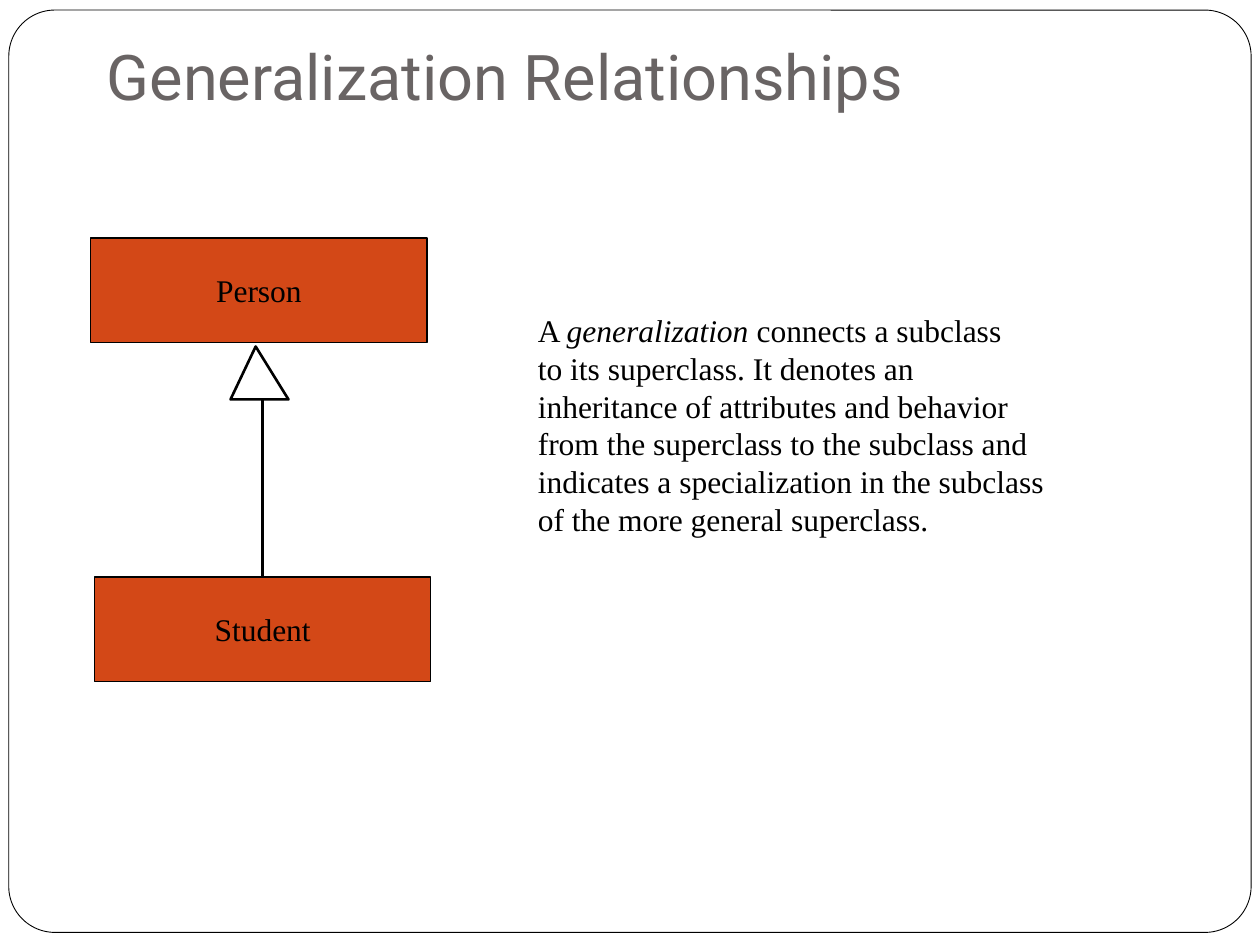
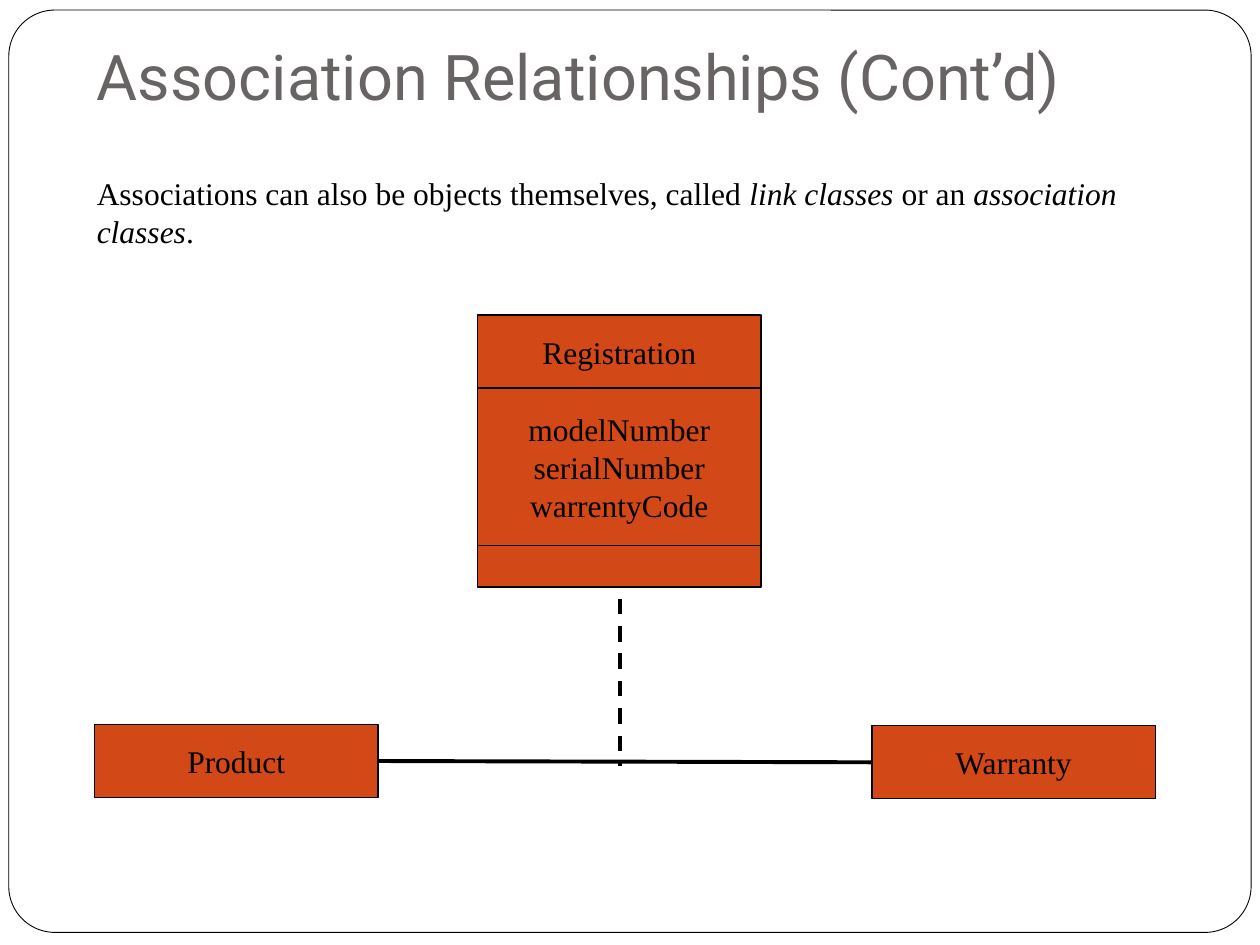
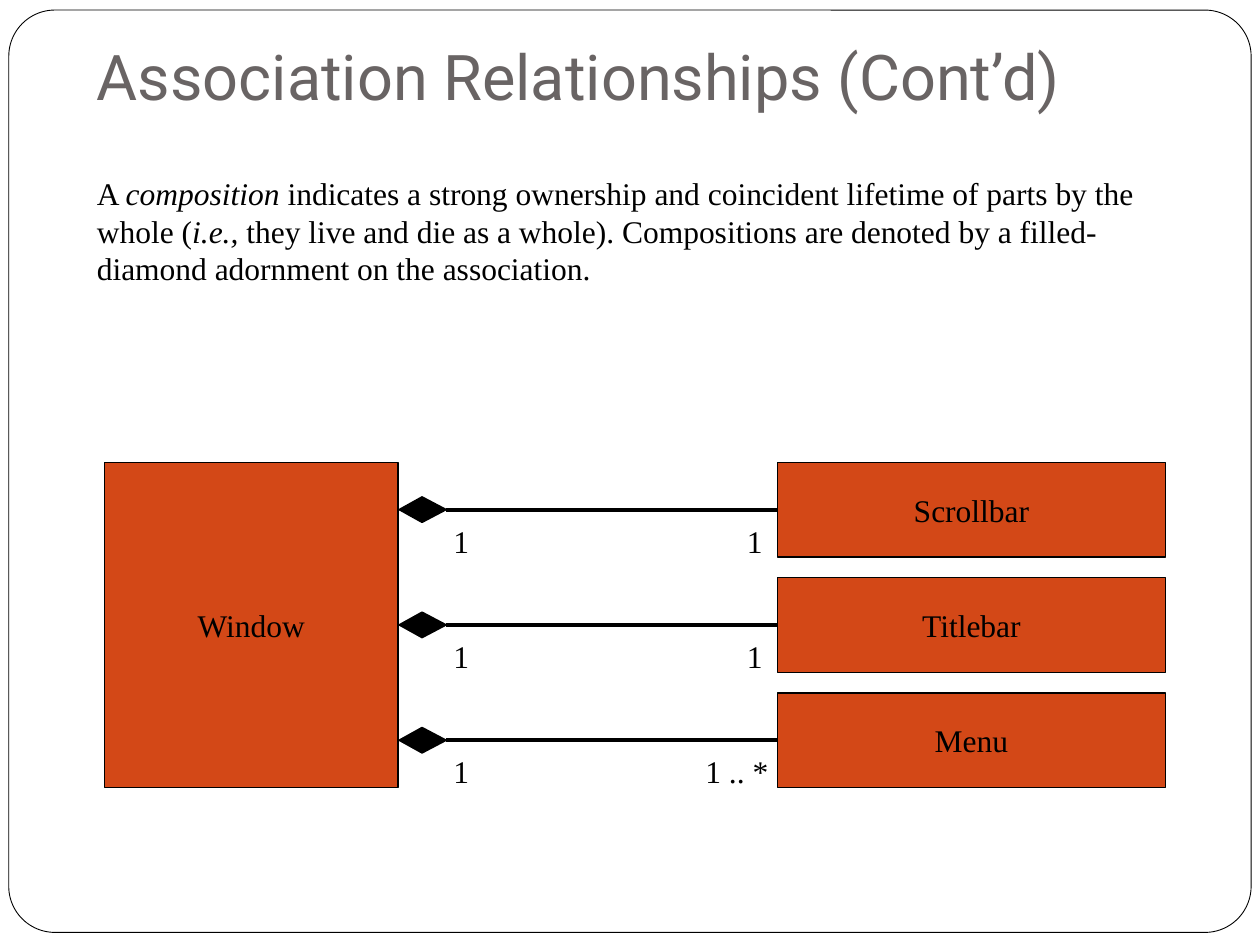
from lxml import etree
from pptx import Presentation
from pptx.dml.color import RGBColor
from pptx.enum import dml, shapes, text
from pptx.oxml.ns import qn
from pptx.util import Inches, Pt

PAPER, INK, TITLE_GREY, CLASS_FILL = "FFFFFF", "000000", "696464", "D34817"
TITLE_FONT, BODY_FONT = "Roboto", "Times New Roman"

GENERALIZATION = [
    "A _generalization_ connects a subclass",
    "to its superclass. It denotes an",
    "inheritance of attributes and behavior",
    "from the superclass to the subclass and",
    "indicates a specialization in the subclass",
    "of the more general superclass.",
]
LINK_CLASSES = [
    "Associations can also be objects themselves, called _link classes_"
    " or an _association classes_."
]
COMPOSITION = [
    "A _composition _indicates a strong ownership and coincident lifetime of parts"
    " by the whole (_i.e.,_ they live and die as a whole). Compositions are denoted"
    " by a filled-diamond adornment on the association."
]
REGISTRATION = [
    (["Registration"], 0.58),
    (["modelNumber", "serialNumber", "warrentyCode"], 1.25),
    ([], 0.33),
]
WINDOW_PARTS = [
    ("Scrollbar", "1", (5.83, 0.33)),
    ("Titlebar", "1", (5.83, 0.33)),
    ("Menu", "1 .. *", (5.5, 0.83)),
]


def color(value):
    return RGBColor.from_string(value)


def paint(shape, fill, width):
    shape.shadow.inherit = False
    shape.fill.solid()
    shape.fill.fore_color.rgb = color(fill)
    shape.line.color.rgb = color(INK)
    shape.line.width = Pt(width)


def write(frame, lines, size=18, font=BODY_FONT, ink=INK, align=text.PP_ALIGN.LEFT):
    for number, line in enumerate(lines):
        para = frame.paragraphs[0] if number == 0 else frame.add_paragraph()
        para.alignment = align
        for position, piece in enumerate(line.split("_")):
            if piece:
                span = para.add_run()
                span.text = piece
                span.font.size = Pt(size)
                span.font.name = font
                span.font.color.rgb = color(ink)
                span.font.italic = position % 2 == 1


def add_text(page, place, lines, **style):
    box = page.shapes.add_textbox(*map(Inches, place))
    box.text_frame.word_wrap = True
    write(box.text_frame, lines, **style)
    return box


def add_class(page, place, lines):
    box = page.shapes.add_shape(shapes.MSO_SHAPE.RECTANGLE, *map(Inches, place))
    paint(box, CLASS_FILL, 0.75)
    box.text_frame.word_wrap = False
    box.text_frame.vertical_anchor = text.MSO_ANCHOR.MIDDLE
    write(box.text_frame, lines, align=text.PP_ALIGN.CENTER)
    return box


def add_line(page, start, end, width=2.25):
    line = page.shapes.add_connector(
        shapes.MSO_CONNECTOR.STRAIGHT, *map(Inches, start + end))
    line.line.color.rgb = color(INK)
    line.line.width = Pt(width)
    etree.SubElement(line._element.spPr, qn("a:effectLst"))
    return line


def add_outline(page, points, fill, width):
    corners = [(Inches(x), Inches(y)) for x, y in points]
    builder = page.shapes.build_freeform(*corners[0])
    builder.add_line_segments(corners[1:], close=True)
    paint(builder.convert_to_shape(), fill, width)


def add_page(deck, title, left=0.67, width=8.83):
    page = deck.slides.add_slide(deck.slide_layouts[6])
    frame = page.shapes.add_shape(
        shapes.MSO_SHAPE.ROUNDED_RECTANGLE, *map(Inches, (0.07, 0.08, 9.86, 7.32)))
    frame.adjustments[0] = 0.05
    paint(frame, PAPER, 0.5)
    heading = add_text(page, (left, 0.42, width, 0.58), [title],
                       size=36, font=TITLE_FONT, ink=TITLE_GREY)
    heading.text_frame.vertical_anchor = text.MSO_ANCHOR.BOTTOM
    heading.text_frame.margin_bottom = Inches(0.1)
    return page


def generalization_page(deck):
    page = add_page(deck, "Generalization Relationships", 0.75, 8.58)
    add_class(page, (0.72, 1.89, 2.67, 0.83), ["Person"])
    add_text(page, (4.17, 2.42, 5.55, 2.5), GENERALIZATION)
    student = add_class(page, (0.75, 4.58, 2.67, 0.83), ["Student"])
    middle = 0.75 + 2.67 / 2
    stem = add_line(page, (middle, 3.17), (middle, 4.58), 1.5)
    stem.end_connect(student, 0)
    add_outline(page, [(2.03, 2.75), (1.83, 3.17), (2.29, 3.17)], PAPER, 1.5)


def link_class_page(deck):
    page = add_page(deck, "Association Relationships (Cont’d)")
    add_text(page, (0.67, 1.33, 8.87, 0.9), LINK_CLASSES)
    product = add_class(page, (0.75, 5.75, 2.25, 0.58), ["Product"])
    warranty = add_class(page, (6.92, 5.76, 2.25, 0.58), ["Warranty"])
    association = add_line(page, (3, 6.05), (6.92, 6.05))
    association.begin_connect(product, 3)
    association.end_connect(warranty, 1)
    link = add_line(page, (4.92, 4.75), (4.92, 6.08))
    link.line.dash_style = dml.MSO_LINE.DASH
    top = 2.5
    for lines, height in REGISTRATION:
        add_class(page, (3.79, top, 2.25, height), lines)
        top += height


def composition_page(deck):
    page = add_page(deck, "Association Relationships (Cont’d)")
    add_text(page, (0.67, 1.33, 8.58, 1.7), COMPOSITION)
    top, whole_height, part_height = 3.67, 2.58, 0.75
    add_class(page, (0.83, top, 2.33, whole_height), ["Window"])
    pitch = (whole_height - part_height) / (len(WINDOW_PARTS) - 1)
    for number, (name, count, (count_left, count_width)) in enumerate(WINDOW_PARTS):
        part_top = top + number * pitch
        middle = part_top + part_height / 2
        part = add_class(page, (6.17, part_top, 3.08, part_height), [name])
        line = add_line(page, (3.54, middle), (6.17, middle))
        line.end_connect(part, 1)
        add_outline(page, [(3.17, middle), (3.35, middle - 0.1),
                           (3.54, middle), (3.35, middle + 0.1)], INK, 1)
        count_top = part_top + 0.42
        add_text(page, (3.5, count_top, 0.33, 0.4), ["1"])
        add_text(page, (count_left, count_top, count_width, 0.4), [count])


def main():
    deck = Presentation()
    deck.slide_width, deck.slide_height = Inches(10), Inches(7.5)
    generalization_page(deck)
    link_class_page(deck)
    composition_page(deck)
    deck.save("out.pptx")


if __name__ == "__main__":
    main()
